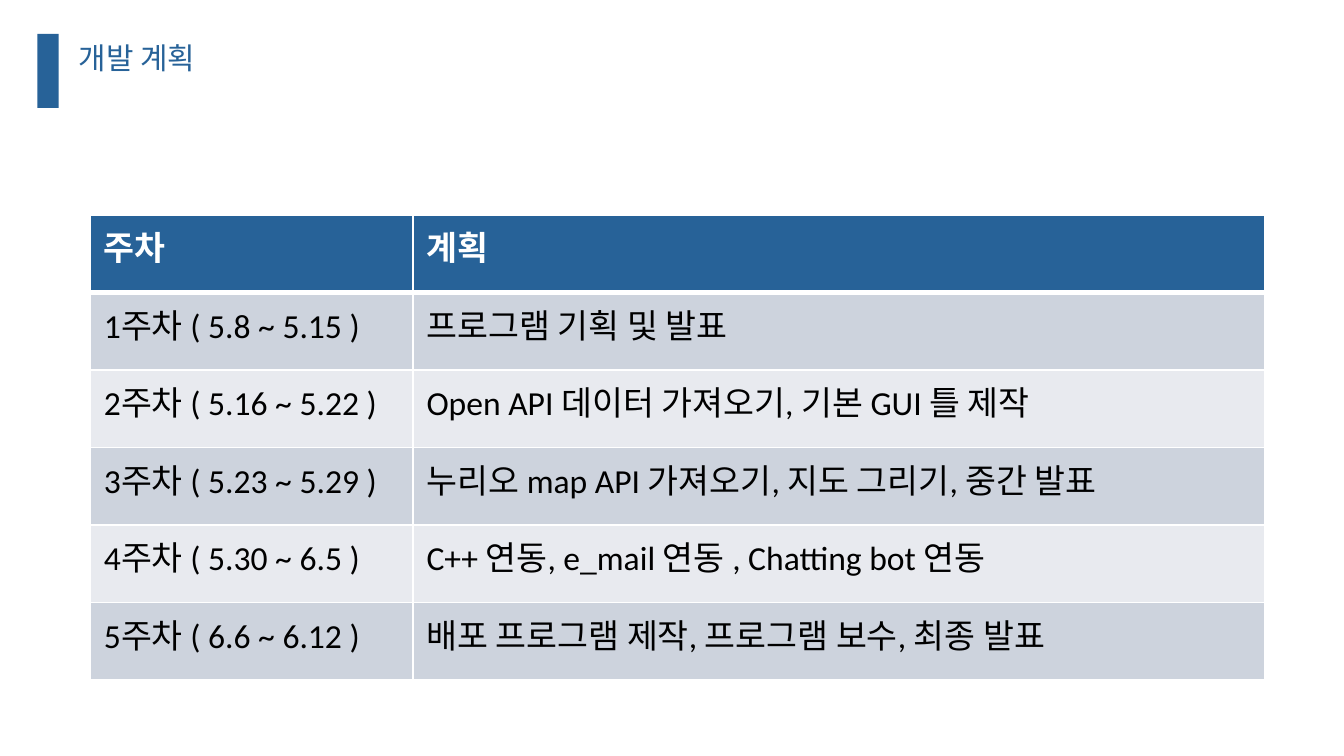
"""Build the development plan slide with its weekly schedule table."""
import lxml.etree
import pptx
import pptx.dml.color
import pptx.enum.shapes
import pptx.enum.text
import pptx.oxml.ns
import pptx.util

Pt = pptx.util.Pt
qn = pptx.oxml.ns.qn
KOREAN_FONT = "Noto Sans CJK KR"
COLORS = {
    "blue": "276298",
    "white": "FFFFFF",
    "black": "000000",
    "odd row": "CDD3DD",
    "even row": "E8EAEF",
}


def rgb(name):
    return pptx.dml.color.RGBColor.from_string(COLORS[name])


def write_text(text_frame, text, size=18, font="Calibri", color="black", bold=False, align=None):
    paragraph = text_frame.paragraphs[0]
    paragraph.alignment = align
    run = paragraph.add_run()
    run.text = text
    run.font.size = Pt(size)
    run.font.name = font
    run.font.bold = bold
    run.font.color.rgb = rgb(color)
    east_asian = lxml.etree.SubElement(run.font._element, qn("a:ea"))
    east_asian.set("typeface", KOREAN_FONT)


presentation = pptx.Presentation()
presentation.slide_width = Pt(720)
presentation.slide_height = Pt(405)
slide = presentation.slides.add_slide(presentation.slide_layouts[6])

title_bar = slide.shapes.add_shape(
    pptx.enum.shapes.MSO_SHAPE.RECTANGLE, Pt(20), Pt(18.2), Pt(11.4), Pt(39.6)
)
title_bar.shadow.inherit = False
title_bar.fill.solid()
title_bar.fill.fore_color.rgb = rgb("blue")
title_bar.line.fill.background()

title = slide.shapes.add_textbox(Pt(36.7), Pt(18.7), Pt(144.7), Pt(24.5))
title_frame = title.text_frame
title_frame.word_wrap = True
title_frame.margin_left = title_frame.margin_right = Pt(5.6)
title_frame.margin_top = title_frame.margin_bottom = Pt(2.8)
write_text(title_frame, "개발 계획", size=16, font=KOREAN_FONT, color="blue",
           align=pptx.enum.text.PP_ALIGN.JUSTIFY)

schedule = [
    ("주차", "계획"),
    ("1주차 ( 5.8 ~ 5.15 )", "프로그램 기획 및 발표"),
    ("2주차 ( 5.16 ~ 5.22 )", "Open API 데이터 가져오기, 기본 GUI 틀 제작"),
    ("3주차 ( 5.23 ~ 5.29 )", "누리오 map API 가져오기, 지도 그리기, 중간 발표"),
    ("4주차 ( 5.30 ~ 6.5 )", "C++ 연동, e_mail 연동 , Chatting bot 연동"),
    ("5주차 ( 6.6 ~ 6.12 )", "배포 프로그램 제작, 프로그램 보수, 최종 발표"),
]
column_widths = [172.8, 456.2]
row_height = 41.5
table = slide.shapes.add_table(
    len(schedule), len(column_widths), Pt(48.5), Pt(115.2),
    Pt(sum(column_widths)), Pt(row_height * len(schedule)),
).table
for column, width in zip(table.columns, column_widths):
    column.width = Pt(width)

for row_index, texts in enumerate(schedule):
    table.rows[row_index].height = Pt(row_height)
    is_header = row_index == 0
    fill = "blue" if is_header else "odd row" if row_index % 2 else "even row"
    border_widths = {
        "a:lnL": 1,
        "a:lnR": 1,
        "a:lnT": 3 if row_index == 1 else 1,
        "a:lnB": 3 if is_header else 1,
    }
    for column_index, text in enumerate(texts):
        cell = table.cell(row_index, column_index)
        cell_properties = cell._tc.get_or_add_tcPr()
        for side, width in border_widths.items():
            border = lxml.etree.SubElement(cell_properties, qn(side), w=str(Pt(width)))
            border_fill = lxml.etree.SubElement(border, qn("a:solidFill"))
            lxml.etree.SubElement(border_fill, qn("a:srgbClr"), val=COLORS["white"])
        cell.fill.solid()
        cell.fill.fore_color.rgb = rgb(fill)
        write_text(cell.text_frame, text, color="white" if is_header else "black", bold=is_header)

presentation.save("out.pptx")
